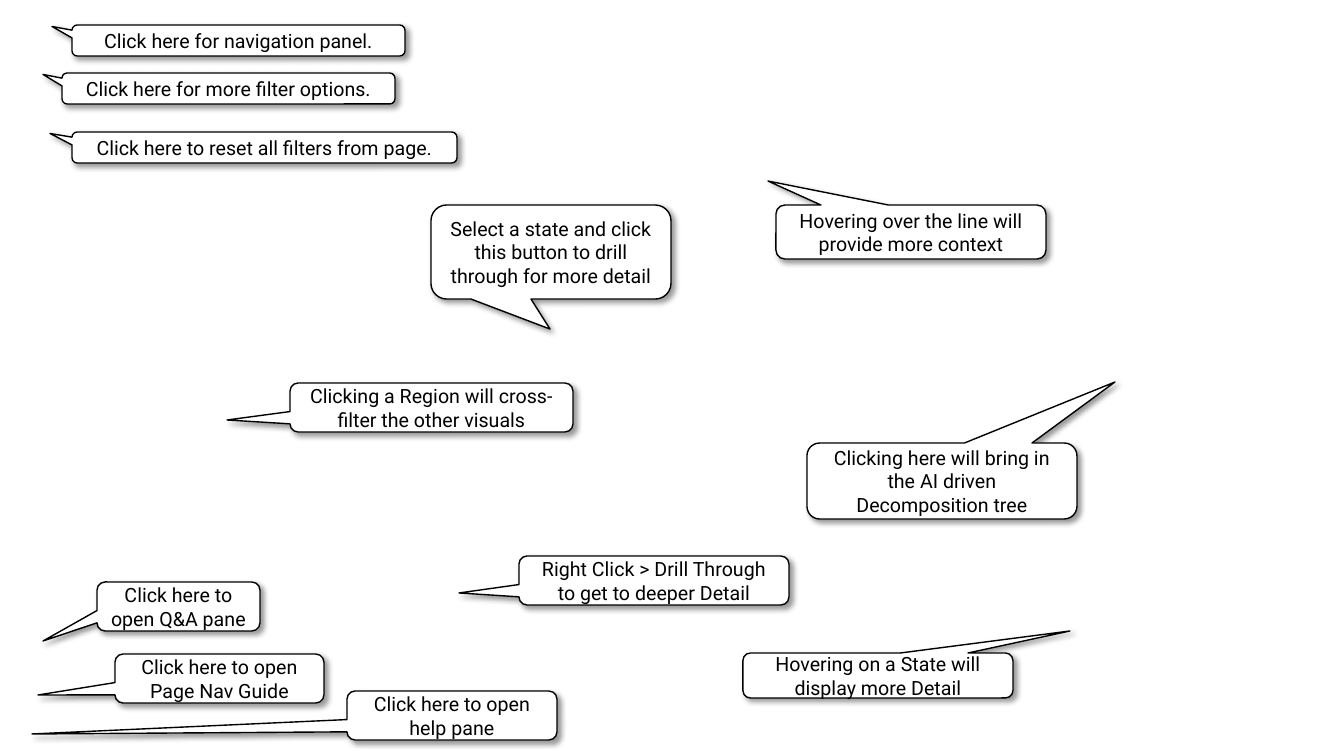
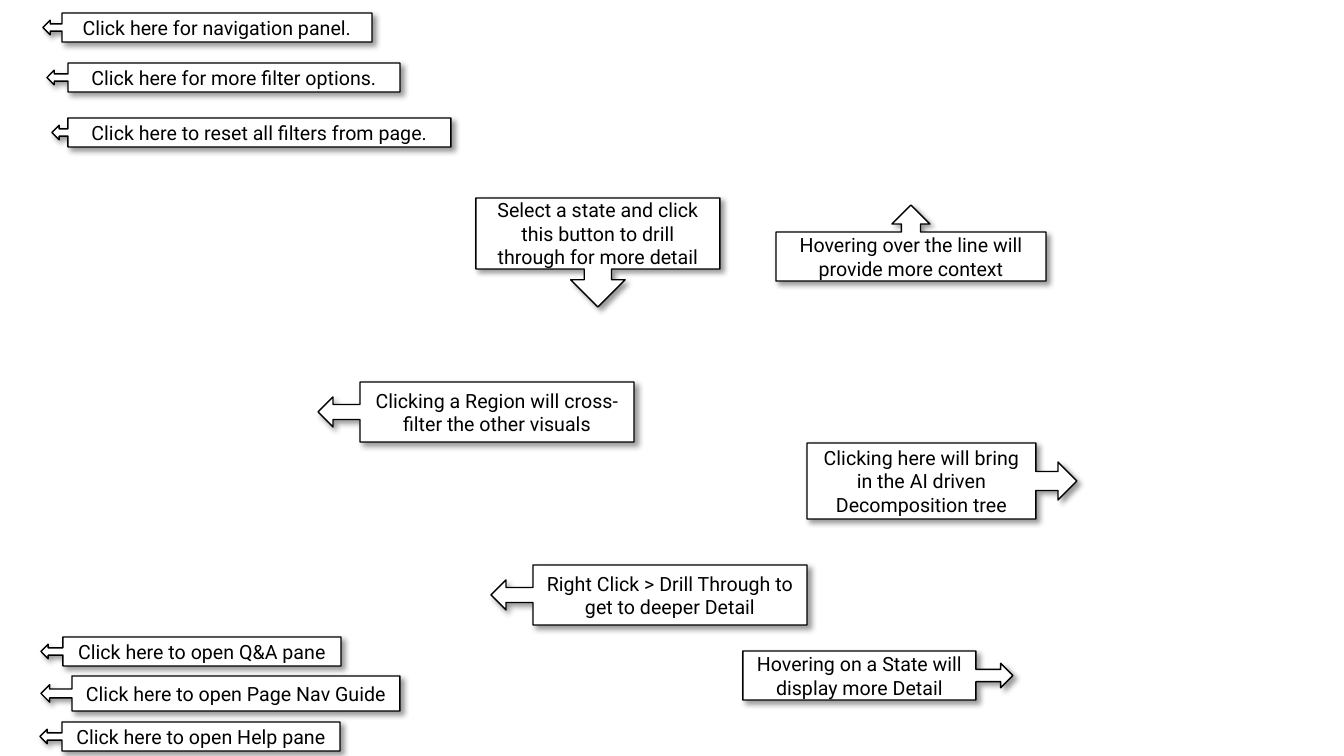
from lxml import etree
from pptx import Presentation
from pptx import util as u
from pptx.dml.color import RGBColor
from pptx.enum import shapes, text
from pptx.oxml import ns

PX = 914400 / 100.8
WIDTH, HEIGHT = 1344, 756
WHITE, BLACK = "FFFFFF", "000000"
FONT = "Roboto"
SHAPE = shapes.MSO_SHAPE

HINTS = {
    "nav": "Click here for navigation panel.",
    "filters": "Click here for more filter options.",
    "reset": "Click here to reset all filters from page.",
    "drill": "Select a state and click this button to drill through for more detail",
    "line": "Hovering over the line will provide more context",
    "tree": "Clicking here will bring in the AI driven Decomposition tree",
    "qa": "Click here to open Q&A pane",
    "guide": "Click here to open Page Nav Guide",
    "help": "Click here to open help pane",
    "help_title": "Click here to open Help pane",
    "region": "Clicking a Region will cross-filter the other visuals",
    "detail": "Right Click > Drill Through to get to deeper Detail",
    "state": "Hovering on a State will display more Detail",
}

# hint, box (left, top, width, height), tip of the pointer (x, y)
BUBBLES = [
    ("filters", (62, 73, 333, 31), (43, 74.5)),
    ("drill", (431, 205, 240, 94), (550, 329)),
    ("line", (776, 205, 270, 54), (768, 181)),
    ("tree", (807, 443, 270, 76), (1115, 382)),
    ("qa", (97, 582, 163, 49), (43, 641)),
    ("guide", (115, 654, 209, 49), (38, 695)),
    ("help", (347, 691, 210, 49), (32, 734)),
    ("region", (290, 383, 283, 49), (227, 420)),
    ("detail", (519, 556, 270, 49), (459, 593)),
    ("state", (743, 653, 270, 45), (1070, 631)),
    ("reset", (72, 132, 385, 31), (50, 133.5)),
    ("nav", (72, 25, 333, 31), (52, 26.5)),
]

# hint, direction, box with its arrow, length of the text body along the arrow
ARROWS = [
    ("nav", "LEFT", (43, 13, 329, 29), 310),
    ("drill", "DOWN", (476, 198, 244, 109), 71),
    ("line", "UP", (776, 205, 270, 76), 49),
    ("tree", "RIGHT", (807, 443, 270, 76), 229),
    ("region", "LEFT", (318, 382, 316, 60), 274),
    ("state", "RIGHT", (743, 651, 270, 49), 233),
    ("qa", "LEFT", (41, 637, 300, 29), 278),
    ("guide", "LEFT", (41, 676, 359, 35), 328),
    ("detail", "LEFT", (491, 565, 316, 60), 274),
    ("help_title", "LEFT", (40, 722, 300, 29), 278),
    ("filters", "LEFT", (47, 63, 353, 29), 332),
    ("reset", "LEFT", (52, 118, 399, 29), 383),
]


def px(n):
    """Turn pixels into EMU."""
    return u.Emu(round(n * PX))


def rgb(value):
    """Turn a hex string into a colour."""
    return RGBColor.from_string(value)


def sub(parent, tag, **attrs):
    """Append a DrawingML element."""
    return etree.SubElement(parent, ns.qn(tag), {k: str(v) for k, v in attrs.items()})


def add_box(s, kind, box, fill=WHITE):
    """Add a filled preset shape without line or shadow."""
    sp = s.shapes.add_shape(kind, *map(px, box))
    sp.shadow.inherit = False
    sp.fill.solid()
    sp.fill.fore_color.rgb = rgb(fill)
    sp.line.fill.background()
    return sp


def add_veil(s):
    """Cover the slide with a translucent white sheet."""
    sp = add_box(s, SHAPE.RECTANGLE, (0, 0, WIDTH, HEIGHT))
    color = sp._element.spPr.find(ns.qn("a:solidFill"))[0]
    sub(color, "a:alpha", val=20000)


def drop_shadow(sp, blur=4, dist=3, angle=45, alpha=40):
    """Give the shape a soft black shadow."""
    effects = sp._element.spPr.find(ns.qn("a:effectLst"))
    shadow = sub(effects, "a:outerShdw", blurRad=u.Pt(blur), dist=u.Pt(dist),
                 dir=angle * 60000, algn="tl", rotWithShape=0)
    sub(sub(shadow, "a:srgbClr", val=BLACK), "a:alpha", val=alpha * 1000)


def write(sp, words, size=14, color=BLACK, font=FONT):
    """Write centred text in a shape."""
    tf = sp.text_frame
    tf.word_wrap = True
    tf.vertical_anchor = text.MSO_ANCHOR.MIDDLE
    p = tf.paragraphs[0]
    p.alignment = text.PP_ALIGN.CENTER
    r = p.add_run()
    r.text = words
    r.font.size = u.Pt(size)
    r.font.name = font
    r.font.color.rgb = rgb(color)


def add_callout(s, kind, box, hint):
    """Add an outlined callout that holds a hint."""
    sp = add_box(s, kind, box)
    sp.line.color.rgb = rgb(BLACK)
    sp.line.width = u.Pt(1)
    drop_shadow(sp)
    write(sp, HINTS[hint])
    return sp


def add_bubble(s, hint, box, tip):
    """Add a rounded speech bubble that points at tip."""
    sp = add_callout(s, SHAPE.ROUNDED_RECTANGULAR_CALLOUT, box, hint)
    for i in range(2):
        sp.adjustments[i] = (tip[i] - box[i]) / box[i + 2] - 0.5


def add_arrow(s, hint, direction, box, body):
    """Add a box with an arrow on one side."""
    sp = add_callout(s, SHAPE[direction + "_ARROW_CALLOUT"], box, hint)
    length = box[2] if direction in ("LEFT", "RIGHT") else box[3]
    sp.adjustments[3] = body / length


def main():
    """Build both guide slides."""
    prs = Presentation()
    prs.slide_width, prs.slide_height = px(WIDTH), px(HEIGHT)
    for add_hint, rows in ((add_bubble, BUBBLES), (add_arrow, ARROWS)):
        s = prs.slides.add_slide(prs.slide_layouts[6])
        add_veil(s)
        for row in rows:
            add_hint(s, *row)
    prs.save("out.pptx")


main()
